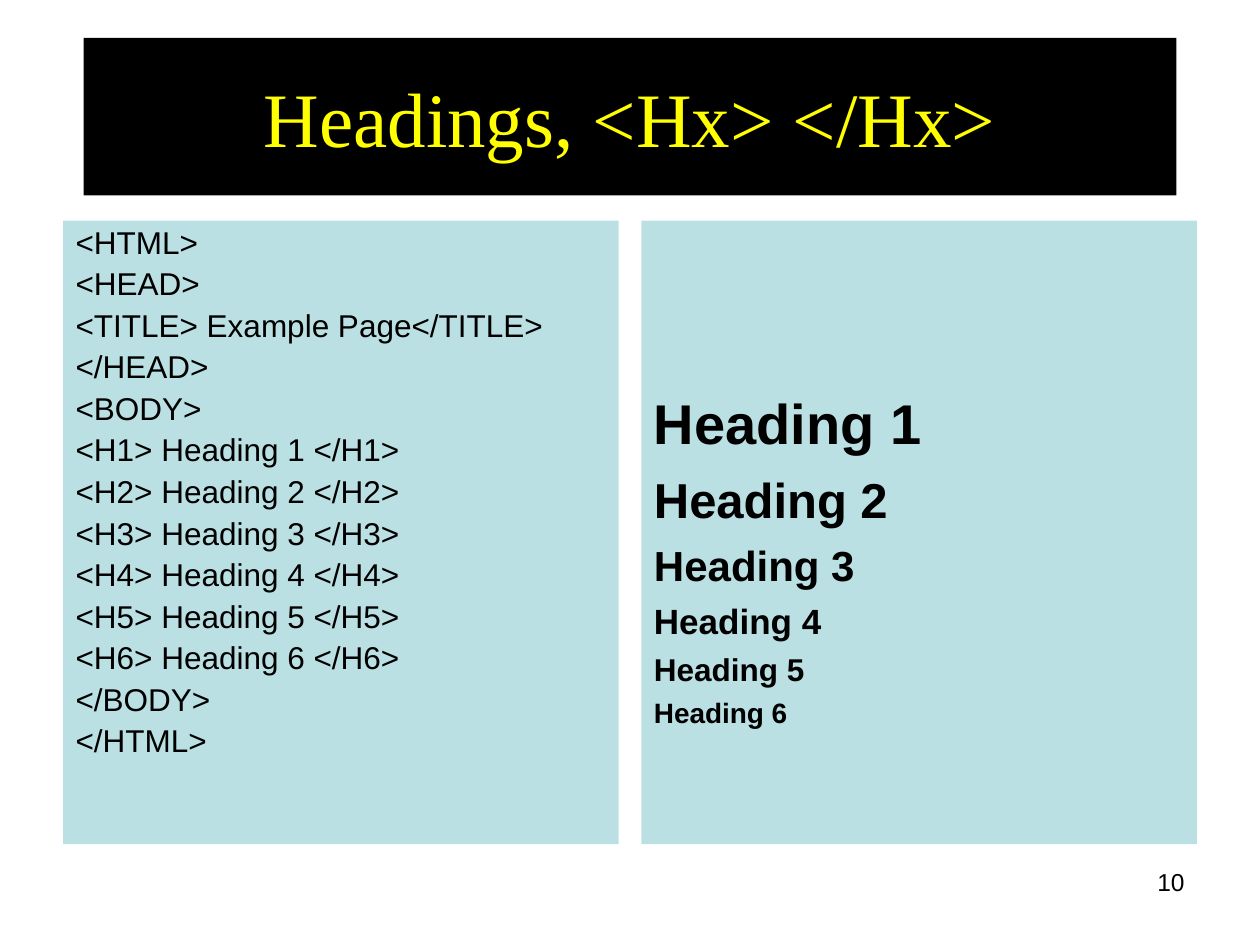
from pptx import Presentation
from pptx.dml.color import RGBColor
from pptx.enum.text import MSO_ANCHOR, MSO_AUTO_SIZE, PP_ALIGN
from pptx.oxml.ns import qn
from pptx.util import Pt
from lxml import etree

TOP, MIDDLE = MSO_ANCHOR.TOP, MSO_ANCHOR.MIDDLE
LEFT, CENTER, RIGHT = PP_ALIGN.LEFT, PP_ALIGN.CENTER, PP_ALIGN.RIGHT
NO_FIT = MSO_AUTO_SIZE.NONE

BLACK = RGBColor(0x00, 0x00, 0x00)
YELLOW = RGBColor(0xFF, 0xFF, 0x00)
PALE_TEAL = RGBColor(0xBB, 0xE0, 0xE3)

# Content
TITLE = "Headings, <Hx> </Hx>"
PAGE_NUMBER = "10"
HEADING_SIZES = [32, 28, 24, 20, 18, 16]
HEADINGS = [(f"Heading {level}", size)
            for level, size in enumerate(HEADING_SIZES, 1)]
CODE_LINES = [
    "<HTML>", "<HEAD>", "<TITLE> Example Page</TITLE>", "</HEAD>", "<BODY>",
    *[f"<H{level}> {text} </H{level}>"
      for level, (text, _) in enumerate(HEADINGS, 1)],
    "</BODY>", "</HTML>",
]
CODE = [(line, 18) for line in CODE_LINES]

# Layout
PAGE_WIDTH, PAGE_HEIGHT = 720, 540
MARGIN, GAP = 36, 13
PANEL_TOP, PANEL_HEIGHT = 126, 356.4
PANEL_WIDTH = (PAGE_WIDTH - 2 * MARGIN - GAP) / 2
HANGING = 27
HEADINGS_INSET = 96


def place(box, left, top, width, height):
    box.left, box.top = Pt(left), Pt(top)
    box.width, box.height = Pt(width), Pt(height)


def prepare(box, anchor, fill=None):
    frame = box.text_frame
    frame.word_wrap = True
    frame.auto_size = NO_FIT
    frame.vertical_anchor = anchor
    if fill is not None:
        box.fill.solid()
        box.fill.fore_color.rgb = fill
    return frame


def write(para, text, size, color=BLACK, font="Arial", bold=False, align=LEFT):
    para.alignment = align
    span = para.add_run()
    span.text = text
    span.font.name = font
    span.font.size = Pt(size)
    span.font.bold = bold
    span.font.color.rgb = color


def fill_panel(box, lines, bold, line_spacing, space_ratio):
    frame = prepare(box, TOP, PALE_TEAL)
    for index, (text, size) in enumerate(lines):
        para = frame.add_paragraph() if index else frame.paragraphs[0]
        para.line_spacing = line_spacing
        para.space_before = Pt(round(size * space_ratio, 1) if index else 0)
        properties = para._p.get_or_add_pPr()
        properties.set("marL", str(Pt(HANGING)))
        properties.set("indent", str(Pt(-HANGING)))
        etree.SubElement(properties, qn("a:buNone"))
        write(para, text, size, bold=bold)
    return frame


deck = Presentation()
deck.slide_width, deck.slide_height = Pt(PAGE_WIDTH), Pt(PAGE_HEIGHT)
page = deck.slides.add_slide(deck.slide_layouts[3])
title, code_panel, result_panel = page.placeholders

# Title band
place(title, 47.8, 21.6, 624.4, 90)
title_frame = prepare(title, MIDDLE, BLACK)
write(title_frame.paragraphs[0], TITLE, 44, YELLOW, "Times New Roman", align=CENTER)

# Code on the left, the headings it produces on the right
for column, panel in enumerate((code_panel, result_panel)):
    place(panel, MARGIN + column * (PANEL_WIDTH + GAP), PANEL_TOP,
          PANEL_WIDTH, PANEL_HEIGHT)
fill_panel(code_panel, CODE, False, 0.9, 0.24)
result_frame = fill_panel(result_panel, HEADINGS, True, 1.0, 0.27)
result_frame.margin_top = Pt(HEADINGS_INSET)

# Page number
number_box = page.shapes.add_textbox(Pt(516), Pt(492), Pt(168), Pt(37.5))
number_frame = prepare(number_box, TOP)
write(number_frame.paragraphs[0], PAGE_NUMBER, 14, align=RIGHT)

deck.save("out.pptx")
